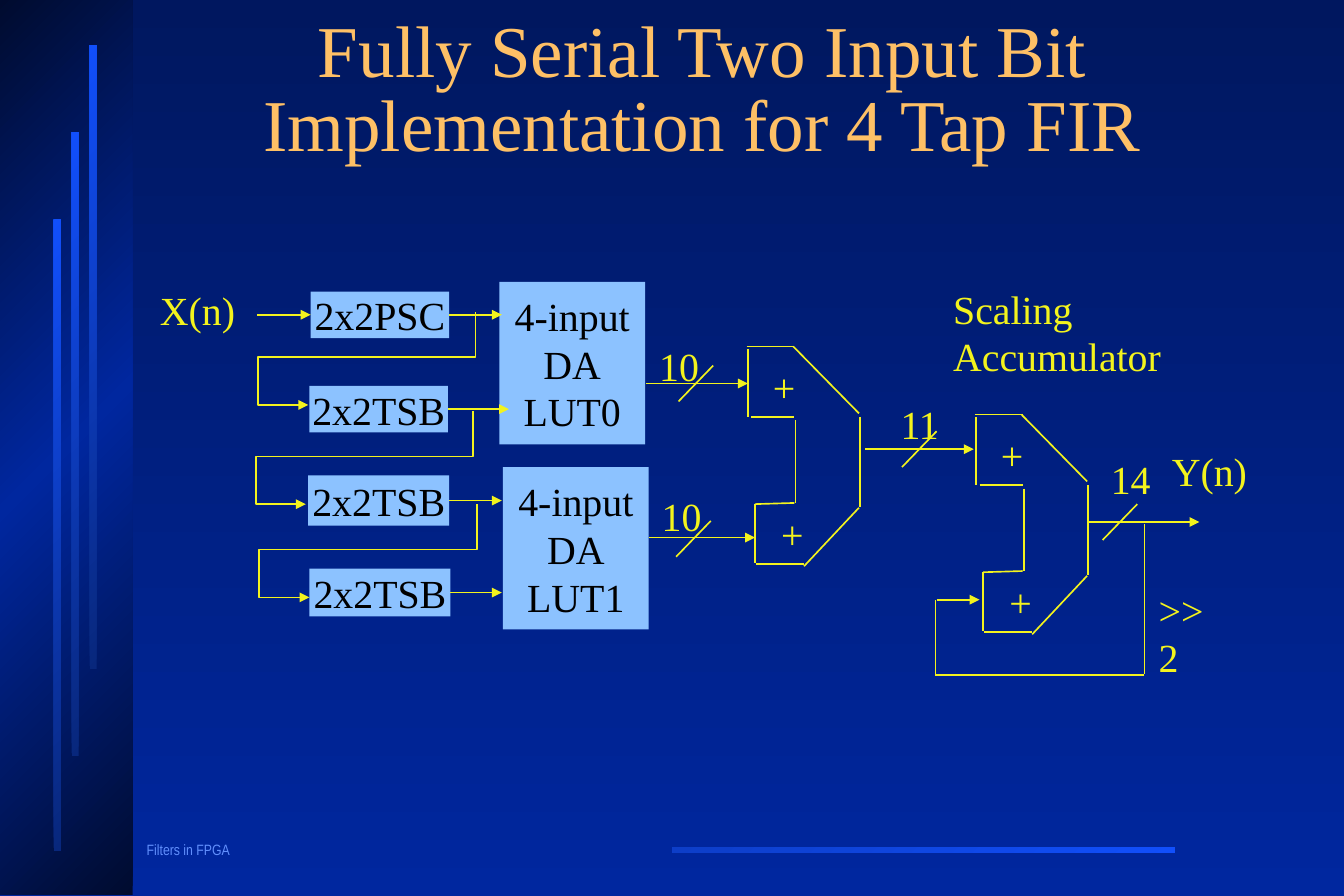
from dataclasses import dataclass
from lxml import etree
from pptx import Presentation
from pptx import util as u
from pptx.dml.color import RGBColor
from pptx.enum import shapes, text
from pptx.oxml.ns import qn

HUES = {
    "wire": "F3F31D", "box": "8CC2FF", "ink": "000000", "title": "FEC066",
    "foot": "618FFD", "top": "00175F", "base": "00279F", "edge": "000B2F",
    "dim": "08277C", "lit": "114FFB", "rule": "0D3EC8",
}
SERIF = "Times New Roman"
Point = tuple[float, float]


@dataclass
class Box:
    name: str
    left: float
    top: float
    wide: float
    high: float


@dataclass
class Label:
    words: str
    left: float
    top: float
    wide: float
    high: float = 0.5
    wrap: bool = True


@dataclass
class Wire:
    start: Point
    end: Point
    arrow: bool = False


PANEL = Box("panel", 0, 0, 1.11, 7.49)
RULE = Box("rule", 5.63, 7.09, 4.21, 0.05)
BARS = [Box("bar", 0.45, 1.84, 0.06, 5.28),
        Box("bar", 0.6, 1.11, 0.06, 5.22),
        Box("bar", 0.75, 0.38, 0.06, 5.22)]
TABLES = [Box("4-input\nDA\nLUT0", 4.18, 2.36, 1.22, 1.36),
          Box("4-input\nDA\nLUT1", 4.21, 3.91, 1.22, 1.36)]
STAGES = [Box("2x2PSC", 2.6, 2.44, 1.16, 0.39),
          Box("2x2TSB", 2.59, 3.23, 1.16, 0.39),
          Box("2x2TSB", 2.58, 3.98, 1.18, 0.42),
          Box("2x2TSB", 2.59, 4.76, 1.18, 0.4)]
ENDS = [4.2, 4.26, 4.2, 4.2]
LOOPS = [(3.98, 2.61), (3.96, 3.44), (3.99, 4.22)]
ADDERS = [(6.25, 2.9), (8.16, 3.47)]
LABELS = [
    Label("X(n)", 1.24, 2.34, 0.92),
    Label("10", 5.42, 2.81, 0.84),
    Label("10", 5.44, 4.07, 0.84),
    Label("11", 7.44, 3.3, 0.56),
    Label("14", 9.2, 3.76, 0.56),
    Label("Y(n)", 9.71, 3.69, 0.85),
    Label(">> 2", 9.6, 4.85, 0.82, wrap=False),
    Label("Scaling Accumulator", 7.88, 2.33, 1.99, 0.9),
]
WIRES = [
    Wire((5.41, 3.21), (6.26, 3.21), True),
    Wire((5.43, 4.5), (6.32, 4.5), True),
    Wire((7.24, 3.76), (8.15, 3.76), True),
    Wire((9.12, 4.37), (10.04, 4.37), True),
    Wire((9.58, 4.39), (9.58, 5.64)),
    Wire((9.58, 5.65), (7.83, 5.65)),
    Wire((7.83, 5.64), (7.83, 5.02)),
    Wire((7.84, 5.02), (8.2, 5.02), True),
]
TICKS = [(5.97, 3.06), (5.95, 4.36), (7.84, 3.61), (9.52, 4.22)]
# Adder edges, measured from the adder's top left corner
EDGES = [
    Wire((0, 0), (0.4, 0)), Wire((0.01, 0.02), (0.01, 0.59)),
    Wire((0.04, 0.59), (0.4, 0.59)), Wire((0.41, 0.62), (0.41, 1.31)),
    Wire((0.4, 1.31), (0.07, 1.32)), Wire((0.07, 1.32), (0.07, 1.81)),
    Wire((0.08, 1.82), (0.48, 1.82)), Wire((0.39, 0), (0.94, 0.56)),
    Wire((0.95, 0.59), (0.95, 1.34)), Wire((0.48, 1.84), (0.94, 1.35)),
]


def rgb(hue: str) -> RGBColor:
    return RGBColor.from_string(HUES[hue])


def shade(fill, root, hues: list[str], angle: int) -> None:
    """Fill with evenly spaced stops; the angle runs clockwise."""
    fill.gradient()
    fill.gradient_angle = (360 - angle) % 360
    stops = root.find(".//" + qn("a:gsLst"))
    for old in list(stops):
        stops.remove(old)
    for i, hue in enumerate(hues):
        pos = 100000 * i // (len(hues) - 1)
        stop = etree.SubElement(stops, qn("a:gs"), pos=str(pos))
        etree.SubElement(stop, qn("a:srgbClr"), val=HUES[hue])


def write(para, words: str, size: float, hue: str, face: str = SERIF) -> None:
    run = para.add_run()
    run.text = words
    run.font.size = u.Pt(size)
    run.font.name = face
    run.font.color.rgb = rgb(hue)


def add_rect(slide, box: Box):
    rect = slide.shapes.add_shape(
        shapes.MSO_SHAPE.RECTANGLE,
        *map(u.Inches, (box.left, box.top, box.wide, box.high)))
    rect.shadow.inherit = False
    rect.line.fill.background()
    return rect


def add_block(slide, box: Box):
    rect = add_rect(slide, box)
    rect.fill.solid()
    rect.fill.fore_color.rgb = rgb("box")
    frame = rect.text_frame
    frame.word_wrap = False
    frame.vertical_anchor = text.MSO_ANCHOR.MIDDLE
    for i, row in enumerate(box.name.split("\n")):
        para = frame.add_paragraph() if i else frame.paragraphs[0]
        para.alignment = text.PP_ALIGN.CENTER
        write(para, row, 24, "ink")
    return rect


def add_label(slide, label: Label, size: float = 24, hue: str = "wire",
              face: str = SERIF):
    area = slide.shapes.add_textbox(
        *map(u.Inches, (label.left, label.top, label.wide, label.high)))
    area.text_frame.word_wrap = label.wrap
    para = area.text_frame.paragraphs[0]
    write(para, label.words, size, hue, face)
    return para


def ink(shape, arrow: bool) -> None:
    """Give a wire its colour, width and arrowhead."""
    shape.line.color.rgb = rgb("wire")
    shape.line.width = u.Pt(1)
    if arrow:
        line = shape._element.spPr.find(qn("a:ln"))
        etree.SubElement(line, qn("a:tailEnd"), type="triangle")


def add_wire(slide, wire: Wire, dx: float = 0, dy: float = 0):
    (x, y), (ex, ey) = wire.start, wire.end
    line = slide.shapes.add_connector(
        shapes.MSO_CONNECTOR.STRAIGHT,
        *map(u.Inches, (x + dx, y + dy, ex + dx, ey + dy)))
    ink(line, wire.arrow)
    etree.SubElement(line._element.spPr, qn("a:effectLst"))
    return line


def add_loop(slide, x: float, y: float) -> None:
    """Lead one stage's output back to the input of the next."""
    turns = [(x, y + 0.38), (x - 1.82, y + 0.38),
             (x - 1.82, y + 0.78), (x - 1.4, y + 0.78)]
    pen = slide.shapes.build_freeform(u.Inches(x), u.Inches(y))
    pen.add_line_segments(
        [(u.Inches(a), u.Inches(b)) for a, b in turns], close=False)
    loop = pen.convert_to_shape()
    loop.shadow.inherit = False
    loop.fill.background()
    ink(loop, True)


def add_adder(slide, x: float, y: float) -> None:
    for edge in EDGES:
        add_wire(slide, edge, x, y)
    for dx, dy in [(0.12, 0.09), (0.19, 1.32)]:
        add_label(slide, Label("+", x + dx, y + dy, 0.42))


def add_frame(slide) -> None:
    """Draw the backdrop, side panel, footer and title."""
    shade(slide.background.fill, slide._element, ["top", "base"], 90)
    decor = [(RULE, ["lit", "rule"]), (PANEL, ["edge", "base", "edge"])]
    decor += [(bar, ["dim", "lit"]) for bar in BARS]
    for box, hues in decor:
        rect = add_rect(slide, box)
        shade(rect.fill, rect._element, hues, 225)
    foot = Label("Filters in FPGA", 1.13, 7, 1.5, 0.23)
    add_label(slide, foot, 9, "foot", "Arial Narrow").line_spacing = 0.9

    title = slide.shapes.title
    title.left, title.top = u.Inches(1.37), u.Inches(0.33)
    title.width, title.height = u.Inches(9.02), u.Inches(0.88)
    frame = title.text_frame
    frame.auto_size = text.MSO_AUTO_SIZE.NONE
    frame.vertical_anchor = text.MSO_ANCHOR.MIDDLE
    para = frame.paragraphs[0]
    para.alignment = text.PP_ALIGN.CENTER
    para.line_spacing = 0.85
    write(para, "Fully Serial Two Input Bit Implementation for 4 Tap FIR",
          44, "title")


def main() -> None:
    deck = Presentation()
    deck.slide_width, deck.slide_height = u.Inches(11.25), u.Inches(7.5)
    slide = deck.slides.add_slide(deck.slide_layouts[5])
    add_frame(slide)
    for table in TABLES:
        add_block(slide, table)
    rects = [add_block(slide, stage) for stage in STAGES]
    for stage, rect, end in zip(STAGES, rects, ENDS):
        mid = stage.top + stage.high / 2
        wire = Wire((stage.left + stage.wide, mid), (end, mid), True)
        add_wire(slide, wire).begin_connect(rect, 3)
    feed = add_wire(slide, Wire((2.15, 2.635), (2.6, 2.635), True))
    feed.end_connect(rects[0], 1)
    for x, y in LOOPS:
        add_loop(slide, x, y)
    for x, y in ADDERS:
        add_adder(slide, x, y)
    for wire in WIRES + [Wire((x, y), (x - 0.29, y + 0.3)) for x, y in TICKS]:
        add_wire(slide, wire)
    for label in LABELS:
        add_label(slide, label)
    deck.save("out.pptx")


if __name__ == "__main__":
    main()
